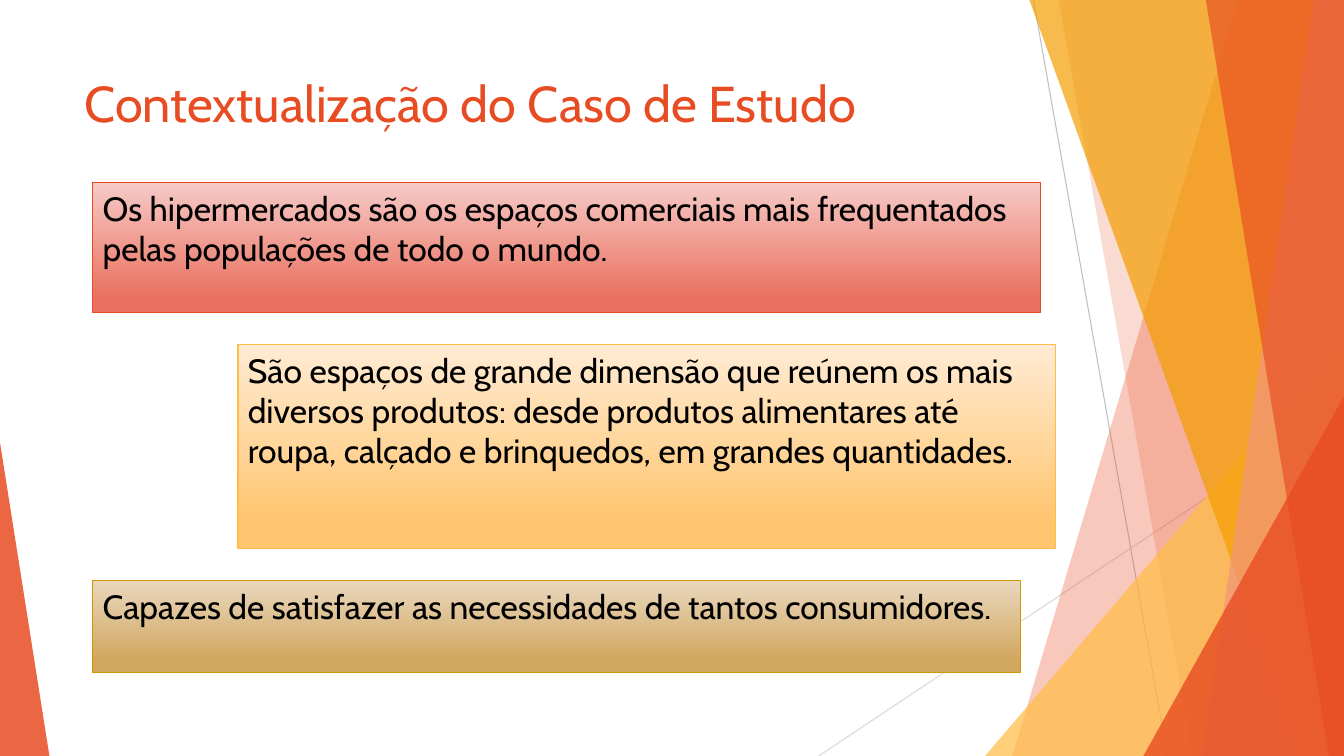
from dataclasses import dataclass

from lxml.etree import SubElement
from pptx import Presentation
from pptx.dml.color import RGBColor
from pptx.enum.shapes import MSO_CONNECTOR, MSO_SHAPE
from pptx.enum.text import MSO_ANCHOR, MSO_AUTO_SIZE, PP_ALIGN
from pptx.oxml.ns import qn
from pptx.shapes.autoshape import Shape
from pptx.slide import Slide
from pptx.text.text import TextFrame
from pptx.util import Emu, Pt

EMU_PER_PX = 9144  # 100 px to the inch
WIDTH, HEIGHT = 1333, 750
FONT = "Cabin"
RED, AMBER, ORANGE, SALMON = "E84C22", "FFBD47", "F49D00", "F1947A"
GOLD, BLACK = "CC9900", "000000"


@dataclass(frozen=True)
class Ray:
    start: tuple[int, int]
    end: tuple[int, int]
    color: str


@dataclass(frozen=True)
class Band:
    """A full-height facet from a slanted left side to the right slide edge."""
    top_x: int
    bottom_x: int
    color: str
    opacity: int


@dataclass(frozen=True)
class Corner:
    """A right triangle standing on the bottom edge of the slide."""
    left: int
    width: int
    height: int
    apex: float
    color: str
    opacity: int


@dataclass(frozen=True)
class Panel:
    left: int
    top: int
    width: int
    height: int
    light: str
    dark: str
    border: str
    text: str


RAYS = [
    Ray((1025, 0), (1158, HEIGHT), "BFBFBF"),
    Ray((WIDTH, 403), (812, HEIGHT), "D9D9D9"),
]
FACETS = [
    Band(1228, 1004, RED, 30),
    Band(1050, 1183, RED, 20),
    Corner(977, 356, 417, 1, AMBER, 72),
    Band(1021, 1291, ORANGE, 70),
    Band(1303, 1192, SALMON, 70),
    Band(1196, 1318, RED, 65),
    Corner(1134, 199, 357, 1, RED, 80),
    Corner(0, 49, 311, 0, RED, 85),
]
PANELS = [
    Panel(92, 181, 940, 129, "F6CAC6", "EA7261", RED,
          "Os hipermercados são os espaços comerciais mais frequentados "
          "pelas populações de todo o mundo."),
    Panel(236, 342, 811, 202, "FFEBD3", "FFC56F", AMBER,
          "São espaços de grande dimensão que reúnem os mais diversos "
          "produtos: desde produtos alimentares até roupa, calçado e "
          "brinquedos, em grandes quantidades."),
    Panel(92, 576, 920, 91, "E9D7BE", "D2A75E", GOLD,
          "Capazes de satisfazer as necessidades de tantos consumidores."),
]


def px(count: int) -> Emu:
    return Emu(count * EMU_PER_PX)


def rgb(color: str) -> RGBColor:
    return RGBColor.from_string(color)


def write_text(frame: TextFrame, text: str, size: int, color: str) -> None:
    frame.word_wrap = True
    frame.auto_size = MSO_AUTO_SIZE.NONE
    frame.vertical_anchor = MSO_ANCHOR.TOP
    para = frame.paragraphs[0]
    para.text = text
    para.alignment = PP_ALIGN.LEFT
    para.font.name = FONT
    para.font.size = Pt(size)
    para.font.color.rgb = rgb(color)


def draw_ray(page: Slide, ray: Ray) -> None:
    line = page.shapes.add_connector(
        MSO_CONNECTOR.STRAIGHT, *map(px, ray.start + ray.end))
    line.line.color.rgb = rgb(ray.color)
    line.line.width = Pt(0.75)
    SubElement(line.element.spPr, qn("a:effectLst"))


def outline_band(page: Slide, band: Band) -> Shape:
    builder = page.shapes.build_freeform(band.top_x, 0, scale=EMU_PER_PX)
    builder.add_line_segments(
        [(WIDTH, 0), (WIDTH, HEIGHT), (band.bottom_x, HEIGHT)])
    return builder.convert_to_shape()


def outline_corner(page: Slide, corner: Corner) -> Shape:
    shape = page.shapes.add_shape(
        MSO_SHAPE.ISOSCELES_TRIANGLE, px(corner.left),
        px(HEIGHT - corner.height), px(corner.width), px(corner.height))
    shape.adjustments[0] = corner.apex
    return shape


def draw_facet(page: Slide, facet: Band | Corner) -> None:
    if isinstance(facet, Band):
        shape = outline_band(page, facet)
    else:
        shape = outline_corner(page, facet)
    shape.shadow.inherit = False
    shape.line.fill.background()
    shape.fill.solid()
    shape.fill.fore_color.rgb = rgb(facet.color)
    color = shape.element.spPr.find(qn("a:solidFill")).find(qn("a:srgbClr"))
    SubElement(color, qn("a:alpha"), val=str(facet.opacity * 1000))


def draw_panel(page: Slide, panel: Panel) -> None:
    box = page.shapes.add_shape(
        MSO_SHAPE.RECTANGLE, px(panel.left), px(panel.top),
        px(panel.width), px(panel.height))
    box.shadow.inherit = False
    box.line.color.rgb = rgb(panel.border)
    box.line.width = Pt(1)
    box.fill.gradient()
    box.fill.gradient_angle = 270
    stops = zip(box.fill.gradient_stops, (0, 0.88), (panel.light, panel.dark))
    for stop, position, color in stops:
        stop.position = position
        stop.color.rgb = rgb(color)
    write_text(box.text_frame, panel.text, 24, BLACK)


def place_title(page: Slide) -> None:
    title = page.shapes.title
    title.left, title.top, title.width, title.height = map(
        px, (74, 67, 940, 144))
    write_text(title.text_frame, "Contextualização do Caso de Estudo", 36, RED)


def main() -> None:
    deck = Presentation()
    deck.slide_width, deck.slide_height = px(WIDTH), px(HEIGHT)
    page = deck.slides.add_slide(deck.slide_layouts.get_by_name("Title Only"))
    place_title(page)
    for ray in RAYS:
        draw_ray(page, ray)
    for facet in FACETS:
        draw_facet(page, facet)
    for panel in PANELS:
        draw_panel(page, panel)
    deck.save("out.pptx")


if __name__ == "__main__":
    main()
